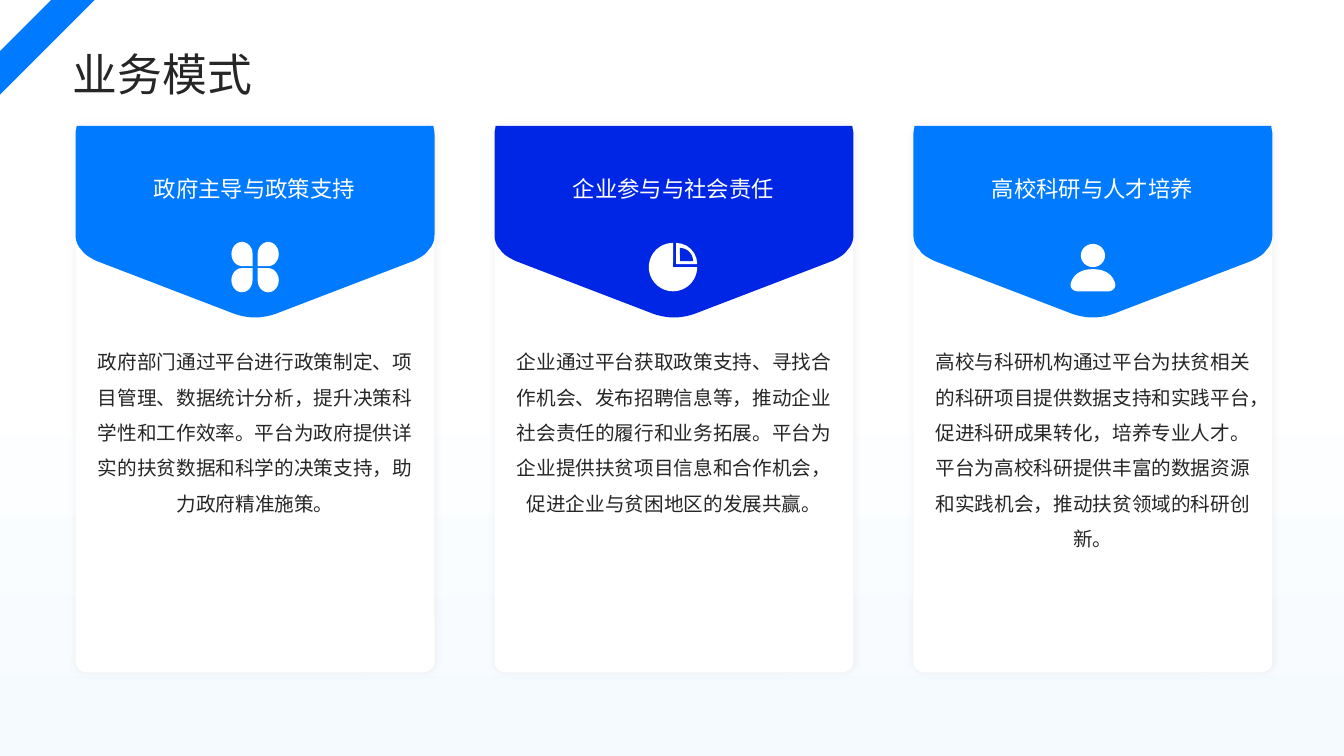
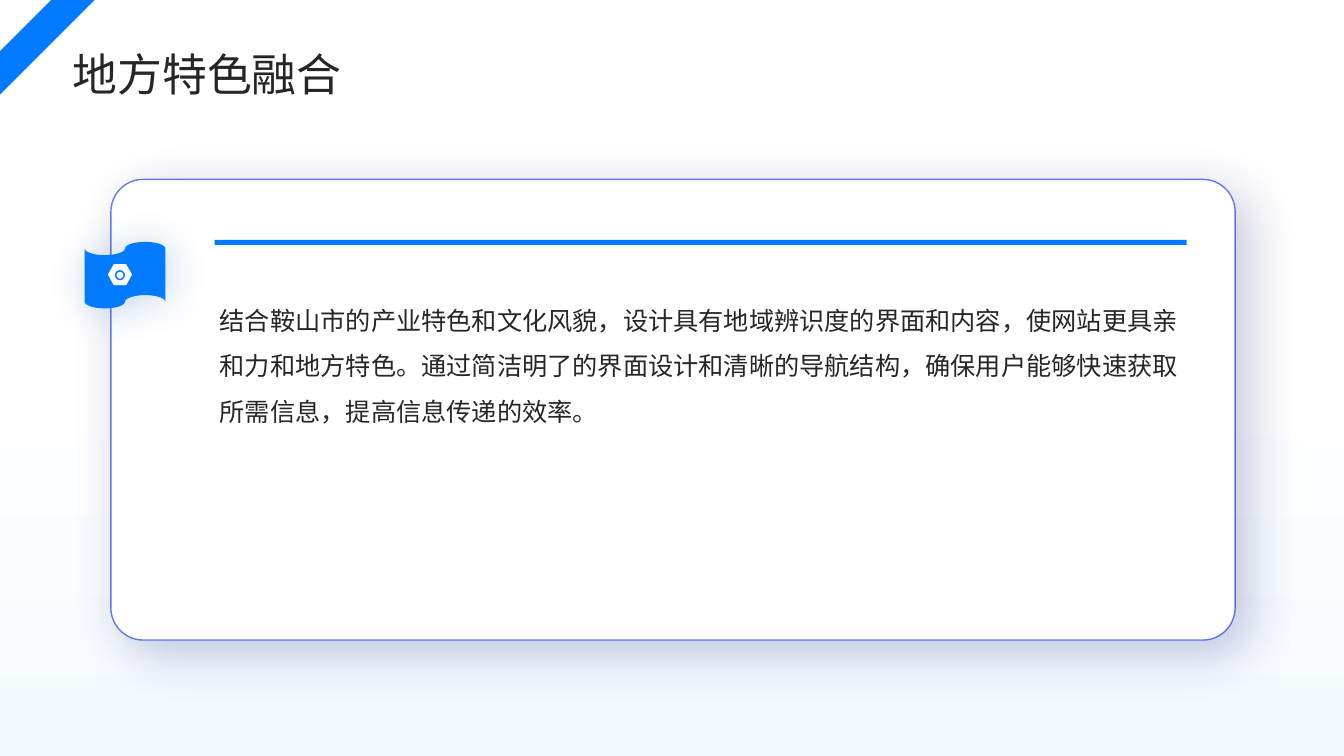
from dataclasses import dataclass
from typing import Callable

from lxml import etree
from pptx import Presentation
from pptx.dml.color import RGBColor
from pptx.enum import shapes, text
from pptx.oxml.ns import qn
from pptx.util import Inches, Pt

FONT = "Noto Sans CJK SC"
BLUE, DEEP_BLUE, WHITE, INK = "007BFF", "0026E5", "FFFFFF", "262626"
MIST = "F5FAFF"
SHAPE = shapes.MSO_SHAPE
ALIGN = text.PP_ALIGN

CARD_TOP, CARD_WIDTH, CARD_HEIGHT = 1.24, 3.56, 5.43
FIRST_LEFT, LAST_LEFT = 0.75, 9.06
BANNER_TOP = 1.25

Point = tuple[float, float]


@dataclass(frozen=True)
class Shadow:
    color: str
    opacity: int
    blur: float
    distance: float
    angle: int


@dataclass(frozen=True)
class TextStyle:
    size: float
    color: str = INK
    spacing: float = 1.5
    align: ALIGN = ALIGN.LEFT


@dataclass(frozen=True)
class Card:
    heading: str
    body: str
    color: str
    icon: Callable


TITLE = TextStyle(32, spacing=1.1)
HEADING = TextStyle(16, WHITE, 1.2, ALIGN.CENTER)
CARD_BODY = TextStyle(14, align=ALIGN.CENTER)
PANEL_BODY = TextStyle(18)

CARD_SHADOW = Shadow("D9D9D9", 40, 5, 0, 0)
PANEL_SHADOW = Shadow("001372", 23, 39, 14, 45)
TAPE_SHADOW = Shadow("005CBF", 23, 30, 3, 45)


def rgb(value: str) -> RGBColor:
    return RGBColor.from_string(value)


def paint(shape, color: str, shadow: Shadow | None = None):
    shape.fill.solid()
    shape.fill.fore_color.rgb = rgb(color)
    shape.line.fill.background()
    shape.shadow.inherit = False
    if shadow:
        effects = shape.element.spPr.find(qn("a:effectLst"))
        outer = etree.SubElement(
            effects, qn("a:outerShdw"), blurRad=str(Pt(shadow.blur)),
            dist=str(Pt(shadow.distance)), dir=str(shadow.angle * 60000),
            algn="ctr", rotWithShape="0")
        tone = etree.SubElement(outer, qn("a:srgbClr"), val=shadow.color)
        etree.SubElement(tone, qn("a:alpha"), val=str(shadow.opacity * 1000))
    return shape


def preset(slide, kind: SHAPE, left: float, top: float, width: float, height: float,
           color: str, shadow: Shadow | None = None, adjust: tuple[float, ...] = ()):
    shape = slide.shapes.add_shape(
        kind, Inches(left), Inches(top), Inches(width), Inches(height))
    for index, value in enumerate(adjust):
        shape.adjustments[index] = value
    return paint(shape, color, shadow)


def curve(start: Point, *segments: tuple[Point, ...], steps: int = 10) -> list[Point]:
    points = [start]
    for segment in segments:
        if len(segment) == 1:
            points.append(segment[0])
            continue
        ends = (points[-1], *segment)
        for step in range(1, steps + 1):
            t = step / steps
            weights = ((1 - t) ** 3, 3 * t * (1 - t) ** 2, 3 * t * t * (1 - t), t ** 3)
            x, y = (sum(w * p[axis] for w, p in zip(weights, ends)) for axis in (0, 1))
            points.append((x, y))
    return points


def symmetric(slide, center: float, top: float, half: list[Point], color: str):
    outline = half + [(-x, y) for x, y in reversed(half)]
    points = [(Inches(center + x), Inches(top + y)) for x, y in outline]
    builder = slide.shapes.build_freeform(*points[0])
    builder.add_line_segments(points[1:], close=True)
    return paint(builder.convert_to_shape(), color)


BANNER_HALF = curve(
    (1.77, 0),
    ((1.77, 0.03), (1.78, 0.05), (1.78, 0.08)),
    ((1.78, 1.08),),
    ((1.78, 1.14), (1.76, 1.19), (1.72, 1.23)),
    ((1.69, 1.28), (1.63, 1.31), (1.57, 1.34)),
    ((0.24, 1.85),),
    ((0.17, 1.88), (0.08, 1.9), (0, 1.9)))
SHOULDER_HALF = curve(
    (0, 0),
    ((0.14, 0), (0.2, 0.07), (0.22, 0.14)),
    ((0.23, 0.18), (0.2, 0.22), (0.15, 0.22)))


def clover_icon(slide, center: float, color: str) -> None:
    width, height, middle = 0.21, 0.24, 2.65
    for turn, (dx, dy) in enumerate(((-1, 1), (-1, -1), (1, -1), (1, 1))):
        wide, tall = (height, width) if turn % 2 else (width, height)
        petal = preset(slide, SHAPE.TEAR, center + dx * 0.13 - wide / 2,
                       middle + dy * 0.13 - tall / 2, wide, tall, WHITE)
        petal.rotation = turn * 90


def pie_icon(slide, center: float, color: str) -> None:
    def sector(x: float, y: float, radius: float, tone: str,
               angles: tuple[float, ...] = (162, 0)) -> None:
        preset(slide, SHAPE.PIE, x - radius, y - radius, 2 * radius, 2 * radius,
               tone, adjust=angles)

    sector(center - 0.01, 2.65, 0.24, WHITE, (0, 162))
    sector(center + 0.02, 2.62, 0.21, WHITE)
    sector(center + 0.06, 2.59, 0.13, color)


def person_icon(slide, center: float, color: str) -> None:
    preset(slide, SHAPE.OVAL, center - 0.12, 2.42, 0.24, 0.23, WHITE)
    symmetric(slide, center, 2.67, SHOULDER_HALF, WHITE)


def write(frame, content: str, style: TextStyle) -> None:
    frame.word_wrap = True
    frame.auto_size = text.MSO_AUTO_SIZE.NONE
    paragraph = frame.paragraphs[0]
    paragraph.text = content
    paragraph.alignment = style.align
    paragraph.line_spacing = style.spacing
    paragraph.space_before = Pt(0)
    properties = paragraph._p.get_or_add_pPr()
    properties.set("marL", "0")
    properties.set("indent", "0")
    etree.SubElement(properties, qn("a:buNone"))
    font = paragraph.font
    font.size = Pt(style.size)
    font.color.rgb = rgb(style.color)
    font.name = FONT
    etree.SubElement(properties.find(qn("a:defRPr")), qn("a:ea"), typeface=FONT)


def text_box(slide, left: float, top: float, width: float, height: float,
             content: str, style: TextStyle):
    frame = slide.shapes.add_textbox(
        Inches(left), Inches(top), Inches(width), Inches(height)).text_frame
    write(frame, content, style)
    return frame


def fill_placeholder(holder, left: float, top: float, width: float, height: float,
                     content: str, style: TextStyle, anchor: text.MSO_ANCHOR) -> None:
    holder.left, holder.top = Inches(left), Inches(top)
    holder.width, holder.height = Inches(width), Inches(height)
    frame = holder.text_frame
    frame.margin_left = frame.margin_right = frame.margin_top = frame.margin_bottom = 0
    frame.vertical_anchor = anchor
    write(frame, content, style)


def shared_background(deck) -> None:
    fill = deck.slide_master.background.fill
    fill.gradient()
    fill.gradient_angle = 90
    for stop, position, color in zip(fill.gradient_stops, (0, 0.53), (MIST, WHITE)):
        stop.position = position
        stop.color.rgb = rgb(color)


def titled_slide(deck, layout: int, title: str):
    slide = deck.slides.add_slide(deck.slide_layouts[layout])
    fill_placeholder(slide.shapes.title, 0.72, 0.47, 11.88, 0.47, title, TITLE,
                     text.MSO_ANCHOR.MIDDLE)
    preset(slide, SHAPE.DIAGONAL_STRIPE, 0, 0, 0.94, 0.94, BLUE, adjust=(0.54,))
    return slide


def draw_card(slide, left: float, card: Card) -> None:
    center = left + CARD_WIDTH / 2
    preset(slide, SHAPE.ROUNDED_RECTANGLE, left, CARD_TOP, CARD_WIDTH, CARD_HEIGHT,
           WHITE, CARD_SHADOW, (0.03,))
    symmetric(slide, center, BANNER_TOP, BANNER_HALF, card.color)
    text_box(slide, left + 0.12, 3.31, 3.32, 3.17, card.body, CARD_BODY)
    heading = text_box(slide, left + 0.11, 1.29, 3.33, 1.1, card.heading, HEADING)
    heading.vertical_anchor = text.MSO_ANCHOR.MIDDLE
    heading.word_wrap = False
    card.icon(slide, center, card.color)


CARDS = (
    Card("政府主导与政策支持",
         "政府部门通过平台进行政策制定、项目管理、数据统计分析，提升决策科学性和工作效率。"
         "平台为政府提供详实的扶贫数据和科学的决策支持，助力政府精准施策。",
         BLUE, clover_icon),
    Card("企业参与与社会责任",
         "企业通过平台获取政策支持、寻找合作机会、发布招聘信息等，推动企业社会责任的履行和业务拓展。"
         "平台为企业提供扶贫项目信息和合作机会，促进企业与贫困地区的发展共赢。",
         DEEP_BLUE, pie_icon),
    Card("高校科研与人才培养",
         "高校与科研机构通过平台为扶贫相关的科研项目提供数据支持和实践平台，促进科研成果转化，培养专业人才。"
         "平台为高校科研提供丰富的数据资源和实践机会，推动扶贫领域的科研创新。",
         BLUE, person_icon),
)
LOCAL_FEATURES = (
    "结合鞍山市的产业特色和文化风貌，设计具有地域辨识度的界面和内容，使网站更具亲和力和地方特色。"
    "通过简洁明了的界面设计和清晰的导航结构，确保用户能够快速获取所需信息，提高信息传递的效率。")


def business_slide(deck) -> None:
    slide = titled_slide(deck, 5, "业务模式")
    pitch = (LAST_LEFT - FIRST_LEFT) / (len(CARDS) - 1)
    for index, card in enumerate(CARDS):
        draw_card(slide, FIRST_LEFT + index * pitch, card)


def local_slide(deck) -> None:
    slide = titled_slide(deck, 1, "地方特色融合")
    panel = preset(slide, SHAPE.ROUNDED_RECTANGLE, 1.1, 1.78, 11.15, 4.57,
                   WHITE, PANEL_SHADOW, (0.07,))
    panel.line.color.rgb = rgb(DEEP_BLUE)
    panel.line.width = Pt(1)
    outline = panel.element.spPr.find(qn("a:ln")).find(f".//{qn('a:srgbClr')}")
    etree.SubElement(outline, qn("a:alpha"), val="60000")
    preset(slide, SHAPE.FLOWCHART_PUNCHED_TAPE, 0.84, 2.4, 0.8, 0.66, BLUE, TAPE_SHADOW)
    preset(slide, SHAPE.RECTANGLE, 2.13, 2.38, 9.64, 0.05, BLUE)
    preset(slide, SHAPE.HEXAGON, 1.07, 2.62, 0.24, 0.21, WHITE, adjust=(0.28,))
    preset(slide, SHAPE.DONUT, 1.14, 2.68, 0.1, 0.1, BLUE, adjust=(0.15,))
    features = slide.placeholders[1]
    fill_placeholder(features, 2.18, 2.88, 9.64, 3.39, LOCAL_FEATURES, PANEL_BODY,
                     text.MSO_ANCHOR.TOP)
    slide.shapes.element.append(features.element)


def main() -> None:
    deck = Presentation()
    deck.slide_width, deck.slide_height = Inches(13.33), Inches(7.5)
    shared_background(deck)
    business_slide(deck)
    local_slide(deck)
    deck.save("out.pptx")


if __name__ == "__main__":
    main()
